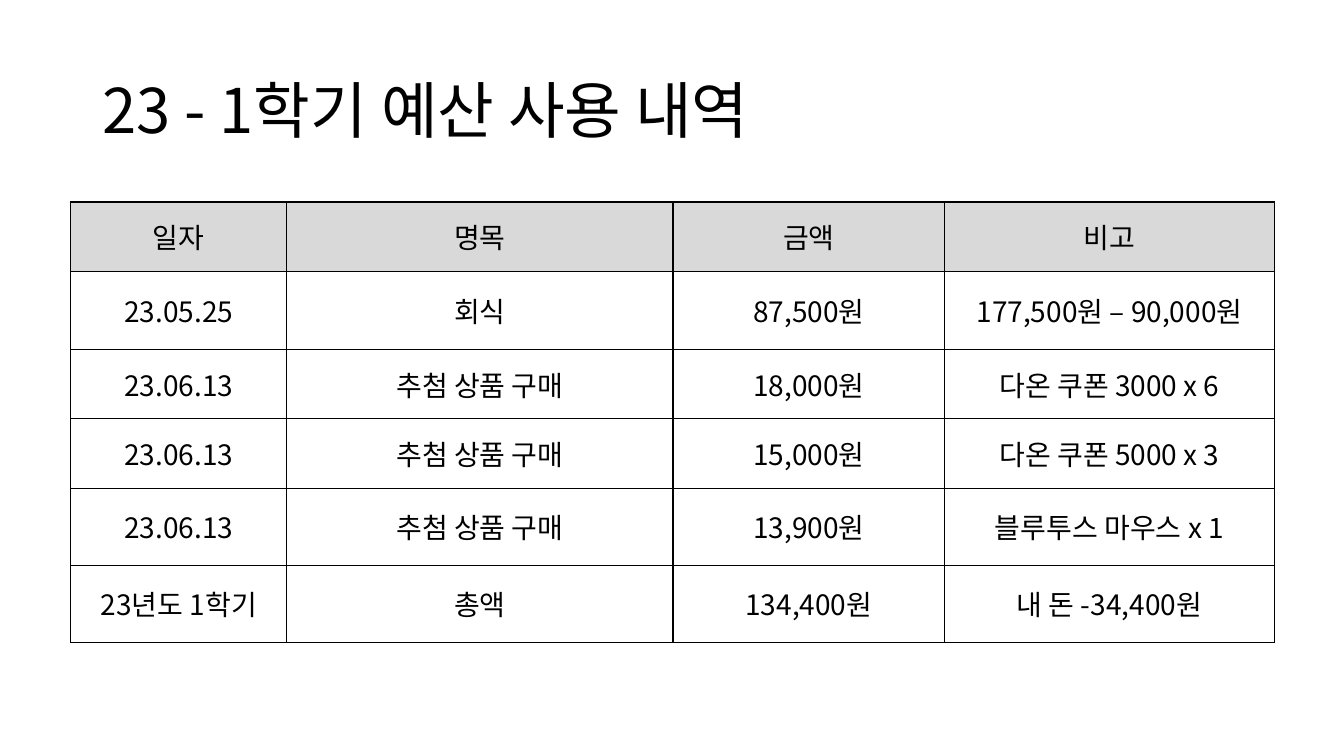
"""Build the slide listing how the 23-1 semester budget was spent."""
import pptx
import pptx.dml.color
import pptx.enum.text
import pptx.oxml
import pptx.oxml.ns
import pptx.util
from dataclasses import dataclass
from lxml import etree

Cm = pptx.util.Cm
Pt = pptx.util.Pt
Rgb = pptx.dml.color.RGBColor.from_string
Align = pptx.enum.text.PP_ALIGN
Middle = pptx.enum.text.MSO_ANCHOR.MIDDLE
qn = pptx.oxml.ns.qn


@dataclass(frozen=True)
class Theme:
    face: str = "Noto Sans CJK KR"
    ink: str = "000000"
    head: str = "D9D9D9"
    title: int = 44
    body: int = 20
    rule: int = 1


class Deck:
    def __init__(self, theme, slide):
        self.theme = theme
        self.slide = slide

    def style(self, para, size):
        font = para.font
        font.name = self.theme.face
        font.size = Pt(size)
        font.color.rgb = Rgb(self.theme.ink)
        props = para._p.pPr.find(qn("a:defRPr"))
        etree.SubElement(props, qn("a:ea"), typeface=self.theme.face)

    def title(self, text, left, top, width, height):
        frame = self.slide.shapes.add_textbox(left, top, width, height).text_frame
        frame.word_wrap = True
        frame.vertical_anchor = Middle
        para = frame.paragraphs[0]
        para.text = text
        para.line_spacing = 0.9
        self.style(para, self.theme.title)

    def border(self, cell):
        props = cell._tc.get_or_add_tcPr()
        for spot, side in enumerate(("lnL", "lnR", "lnT", "lnB")):
            line = etree.Element(qn("a:" + side), w=str(Pt(self.theme.rule)))
            fill = etree.SubElement(line, qn("a:solidFill"))
            etree.SubElement(fill, qn("a:srgbClr"), val=self.theme.ink)
            props.insert(spot, line)

    def cell(self, cell, text, head):
        cell.vertical_anchor = Middle
        if head:
            cell.fill.solid()
            cell.fill.fore_color.rgb = Rgb(self.theme.head)
        else:
            cell.fill.background()
        self.border(cell)
        para = cell.text_frame.paragraphs[0]
        para.text = text
        para.alignment = Align.CENTER
        self.style(para, self.theme.body)

    def table(self, data, left, top, widths, heights):
        table = self.slide.shapes.add_table(
            len(heights), len(widths), left, top, sum(widths), sum(heights)).table
        table.first_row = table.horz_banding = False
        for column, width in zip(table.columns, widths):
            column.width = width
        for row, height in zip(table.rows, heights):
            row.height = height
        for r, texts in enumerate(data):
            for c, text in enumerate(texts):
                self.cell(table.cell(r, c), text, head=r == 0)


budget = [
    ("일자", "명목", "금액", "비고"),
    ("23.05.25", "회식", "87,500원", "177,500원 – 90,000원"),
    ("23.06.13", "추첨 상품 구매", "18,000원", "다온 쿠폰 3000 x 6"),
    ("23.06.13", "추첨 상품 구매", "15,000원", "다온 쿠폰 5000 x 3"),
    ("23.06.13", "추첨 상품 구매", "13,900원", "블루투스 마우스 x 1"),
    ("23년도 1학기", "총액", "134,400원", "내 돈 -34,400원"),
]

show = pptx.Presentation()
show.slide_width, show.slide_height = Cm(33.87), Cm(19.05)
deck = Deck(Theme(), show.slides.add_slide(show.slide_layouts[6]))
deck.title("23 - 1학기 예산 사용 내역", Cm(2.33), Cm(1.01), Cm(29.21), Cm(3.68))
deck.table(
    budget, Cm(1.78), Cm(5.09),
    [Cm(w) for w in (5.45, 9.73, 6.85, 8.3)],
    [Cm(h) for h in (1.75, 1.96, 1.75, 1.75, 1.94, 1.94)])
show.save("out.pptx")
